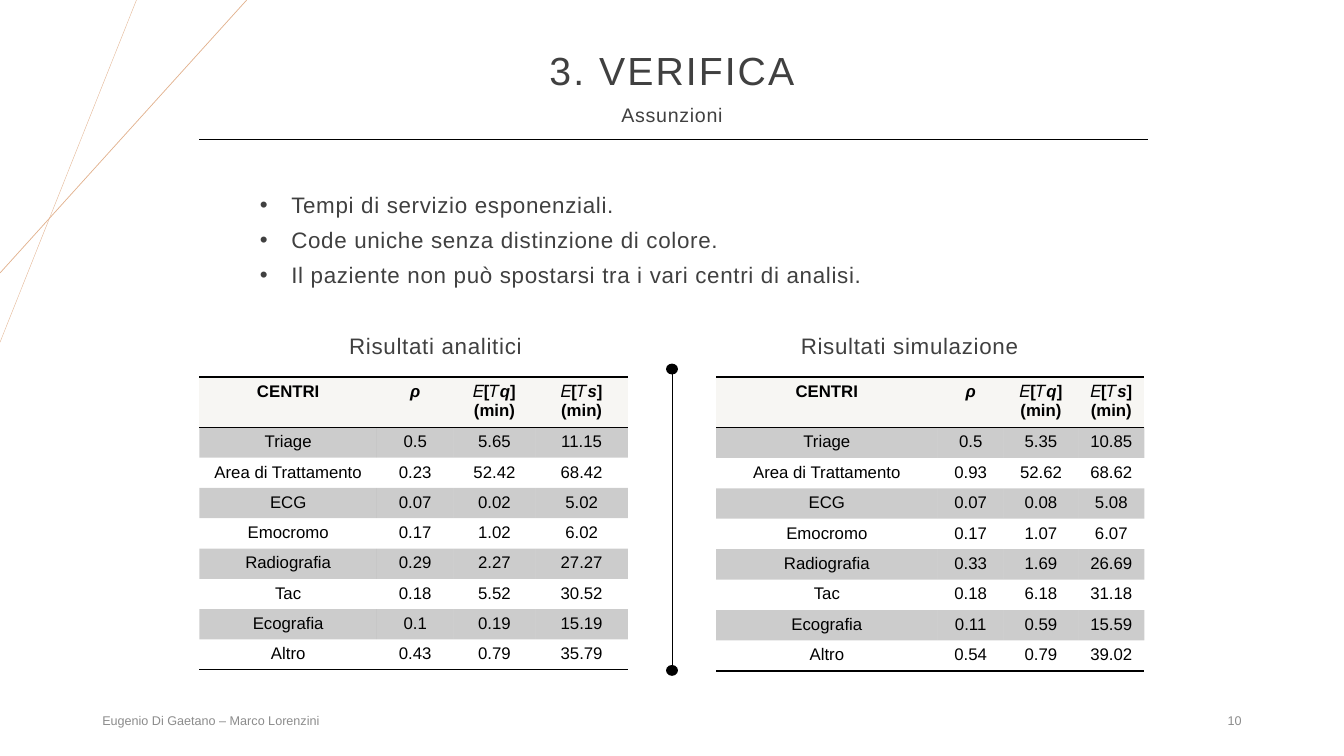
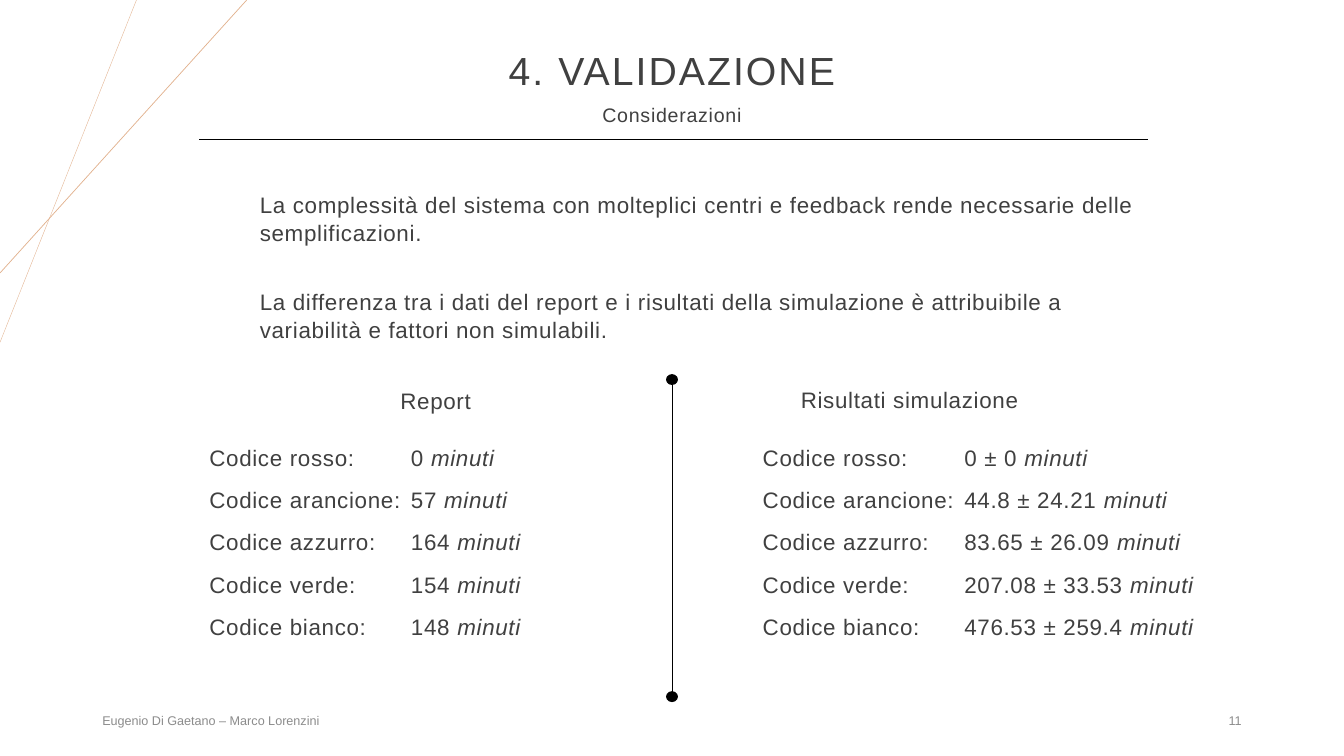
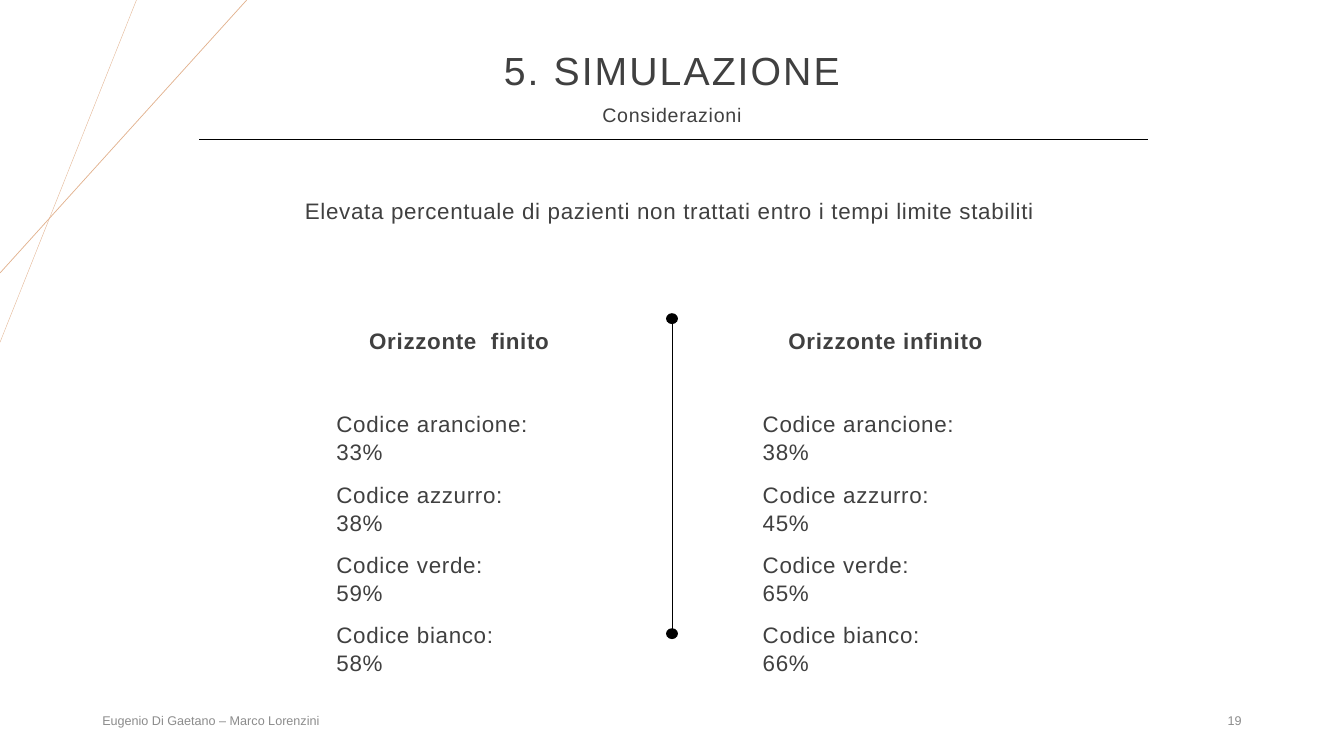
from pptx import Presentation
from pptx.dml.color import RGBColor
from pptx.enum.shapes import MSO_CONNECTOR, MSO_SHAPE
from pptx.enum.text import MSO_ANCHOR, PP_ALIGN
from pptx.oxml import parse_xml
from pptx.oxml.ns import nsdecls
from pptx.util import Pt

PX = 9525  # 96 px to the inch
FONT = "Arial"
INK = RGBColor(0x40, 0x40, 0x40)
BLACK = RGBColor(0x00, 0x00, 0x00)
GREY = RGBColor(0x8C, 0x8C, 0x8C)
COPPER = RGBColor(0xE2, 0xB1, 0x8D)
CREAM = RGBColor(0xF7, 0xF6, 0xF3)
LEFT, CENTER, RIGHT = PP_ALIGN.LEFT, PP_ALIGN.CENTER, PP_ALIGN.RIGHT
NO_TABLE_STYLE = "{2D5ABB26-0587-4C30-8999-92F81FD0307C}"
NS = nsdecls("a")


def write_runs(paragraph, runs, size, color, spacing=0):
    """Add (text, style) runs; in a style, b is bold and i is italic."""
    for text, style in runs:
        run = paragraph.add_run()
        run.text = text
        font = run.font
        font.name, font.size, font.color.rgb = FONT, Pt(size), color
        font.bold, font.italic = "b" in style, "i" in style
        if spacing:
            run._r.get_or_add_rPr().set("spc", str(spacing))


def text_box(slide, box, paragraphs, size=16, color=INK, spacing=50, align=LEFT,
             before=0, lines=1.05, anchor=MSO_ANCHOR.TOP):
    """Add a text box and return its paragraphs."""
    frame = slide.shapes.add_textbox(*(v * PX for v in box)).text_frame
    frame.word_wrap = True
    frame.vertical_anchor = anchor
    for i, runs in enumerate(paragraphs):
        paragraph = frame.add_paragraph() if i else frame.paragraphs[0]
        paragraph.alignment = align
        paragraph.line_spacing = lines
        paragraph.space_before = Pt(before if i else 0)
        write_runs(paragraph, runs, size, color, spacing)
    return frame.paragraphs


prs = Presentation()
prs.slide_width, prs.slide_height = 1280 * PX, 720 * PX

# Shared frame: corner lines, title, rule, divider and footer
pages = [
    ("3. VERIFICA", "Assunzioni", "10", 351, 638),
    ("4. VALIDAZIONE", "Considerazioni", "11", 361, 663),
    ("5. SIMULAZIONE", "Considerazioni", "19", 303, 603),
]
slides = []
for title, subtitle, number, divider_top, divider_bottom in pages:
    slide = prs.slides.add_slide(prs.slide_layouts[6])
    slides.append(slide)
    for x1, y1, x2, y2, color, width in [
        (130, 0, 0, 326, COPPER, 0.25),
        (235, 0, 0, 260, COPPER, 0.5),
        (190, 133, 1093, 133, BLACK, 0.5),
        (640, divider_top, 640, divider_bottom, BLACK, 0.5),
    ]:
        line = slide.shapes.add_connector(
            MSO_CONNECTOR.STRAIGHT, x1 * PX, y1 * PX, x2 * PX, y2 * PX)
        line.line.color.rgb = color
        line.line.width = Pt(width)
        line._element.spPr.append(parse_xml(f"<a:effectLst {NS}/>"))
    for y in (divider_top, divider_bottom):
        dot = slide.shapes.add_shape(
            MSO_SHAPE.OVAL, 635 * PX, (y - 4) * PX, 10 * PX, 9 * PX)
        dot.shadow.inherit = False
        dot.fill.solid()
        dot.fill.fore_color.rgb = BLACK
        dot.line.color.rgb = BLACK
        dot.line.width = Pt(1)
    text_box(slide, (198, 0, 884, 139), [[(title, "")]], size=28, spacing=150,
             align=CENTER, lines=0.9, anchor=MSO_ANCHOR.MIDDLE)
    text_box(slide, (488, 92, 304, 33), [[(subtitle, "")]], size=14, align=CENTER)
    for x, footer, align in [(88, "Eugenio Di Gaetano – Marco Lorenzini", LEFT),
                             (904, number, RIGHT)]:
        text_box(slide, (x, 667, 288, 38), [[(footer, "")]], size=9, color=GREY,
                 spacing=0, align=align, lines=1.0, anchor=MSO_ANCHOR.MIDDLE)
verification, validation, simulation = slides

# Verification: assumptions
assumptions = [
    "Tempi di servizio esponenziali.",
    "Code uniche senza distinzione di colore.",
    "Il paziente non può spostarsi tra i vari centri di analisi.",
]
for paragraph in text_box(verification, (190, 176, 903, 139),
                          [[(text, "")] for text in assumptions], before=5):
    pPr = paragraph._p.get_or_add_pPr()
    pPr.set("marL", str(78 * PX))
    pPr.set("indent", str(-30 * PX))
    pPr.append(parse_xml(f'<a:buFont {NS} typeface="{FONT}"/>'))
    pPr.append(parse_xml(f'<a:buChar {NS} char="•"/>'))

# Headings of the two halves
for slide, x, y, width, heading in [
    (verification, 190, 310, 450, "Risultati analitici"),
    (verification, 640, 310, 453, "Risultati simulazione"),
    (validation, 190, 363, 450, "Report"),
    (validation, 640, 362, 453, "Risultati simulazione"),
]:
    text_box(slide, (x, y, width, 53), [[(heading, "")]], align=CENTER)

# Verification: result tables
header = [
    [("CENTRI", "b")],
    [("ρ", "bi")],
    [("𝐸[𝑇", "b"), ("q", "bi"), ("] (min)", "b")],
    [("𝐸[𝑇", "b"), ("s", "bi"), ("] (min)", "b")],
]
centers = ["Triage", "Area di Trattamento", "ECG", "Emocromo", "Radiografia",
           "Tac", "Ecografia", "Altro"]
analytic = [
    ("0.5", "5.65", "11.15"), ("0.23", "52.42", "68.42"),
    ("0.07", "0.02", "5.02"), ("0.17", "1.02", "6.02"),
    ("0.29", "2.27", "27.27"), ("0.18", "5.52", "30.52"),
    ("0.1", "0.19", "15.19"), ("0.43", "0.79", "35.79"),
]
simulated = [
    ("0.5", "5.35", "10.85"), ("0.93", "52.62", "68.62"),
    ("0.07", "0.08", "5.08"), ("0.17", "1.07", "6.07"),
    ("0.33", "1.69", "26.69"), ("0.18", "6.18", "31.18"),
    ("0.11", "0.59", "15.59"), ("0.54", "0.79", "39.02"),
]
for x, widths, row_height, results in [
    (190, (169, 73, 78, 88), 28, analytic),
    (682, (211, 63, 71, 63), 29, simulated),
]:
    rows = [header] + [[[(text, "")] for text in (center, *values)]
                       for center, values in zip(centers, results)]
    last = len(rows) - 1
    table = verification.shapes.add_table(
        len(rows), len(widths), x * PX, 359 * PX, sum(widths) * PX,
        (45 + last * row_height) * PX).table
    table._tbl.tblPr.find("{*}tableStyleId").text = NO_TABLE_STYLE
    table.horz_banding = False
    for column, width in zip(table.columns, widths):
        column.width = width * PX
    for r, row in enumerate(rows):
        table.rows[r].height = (row_height if r else 45) * PX
        for c, runs in enumerate(row):
            cell = table.cell(r, c)
            paragraph = cell.text_frame.paragraphs[0]
            paragraph.alignment = CENTER
            write_runs(paragraph, runs, 12, BLACK)
            tcPr = cell._tc.get_or_add_tcPr()
            if r and r % 2 == 0:
                cell.fill.background()
            else:
                cell.fill.solid()
                cell.fill.fore_color.rgb = BLACK if r else CREAM
            if r % 2:
                tcPr.find(".//{*}srgbClr").append(
                    parse_xml(f'<a:alpha {NS} val="20000"/>'))
            edges = {0: ("lnB", "lnT"), last: ("lnB",)}.get(r, ())
            for edge in edges:
                tcPr.insert(0, parse_xml(
                    f'<a:{edge} {NS} w="12700"><a:solidFill>'
                    f'<a:srgbClr val="{BLACK}"/></a:solidFill></a:{edge}>'))

# Validation: considerations
considerations = [
    "La complessità del sistema con molteplici centri e feedback rende necessarie "
    "delle semplificazioni.",
    "La differenza tra i dati del report e i risultati della simulazione è "
    "attribuibile a variabilità e fattori non simulabili.",
]
for paragraph in text_box(validation, (190, 176, 914, 157),
                          [[(text, "")] for text in considerations], before=29):
    paragraph._p.get_or_add_pPr().set("marL", str(48 * PX))

# Validation: waiting times by code
codes = ["rosso", "arancione", "azzurro", "verde", "bianco"]
for x, width, times in [
    (190, 406, ("0", "57", "164", "154", "148")),
    (717, 493, ("0 ± 0", "44.8 ± 24.21", "83.65 ± 26.09", "207.08 ± 33.53",
                "476.53 ± 259.4")),
]:
    waits = [[(f"Codice {code}:\t{time} ", ""), ("minuti", "i")]
             for code, time in zip(codes, times)]
    for paragraph in text_box(validation, (x, 417, width, 215), waits, before=10):
        paragraph._p.get_or_add_pPr().append(parse_xml(
            f'<a:tabLst {NS}><a:tab pos="{192 * PX}" algn="l"/></a:tabLst>'))

# Simulation: statement
statement = "Elevata percentuale di pazienti non trattati entro i tempi limite stabiliti"
for paragraph in text_box(simulation, (163, 182, 903, 78), [[(statement, "")]],
                          align=CENTER):
    paragraph._p.get_or_add_pPr().set("marL", str(48 * PX))

# Simulation: untreated patients by code
for x, horizon, shares in [
    (311, "Orizzonte  finito", ("33%", "38%", "59%", "58%")),
    (717, "Orizzonte infinito", ("38%", "45%", "65%", "66%")),
]:
    labels = [[(f"Codice {code}:", "")] for code in codes[1:]]
    heading, *entries = text_box(simulation, (x, 306, 253, 250),
                                 [[(horizon, "b")]] + labels, before=10)
    heading.alignment = CENTER
    entries[0].space_before = Pt(39)
    for entry, share in zip(entries, shares):
        entry.add_line_break()
        write_runs(entry, [(share, "")], 16, INK, 50)

prs.save("out.pptx")
